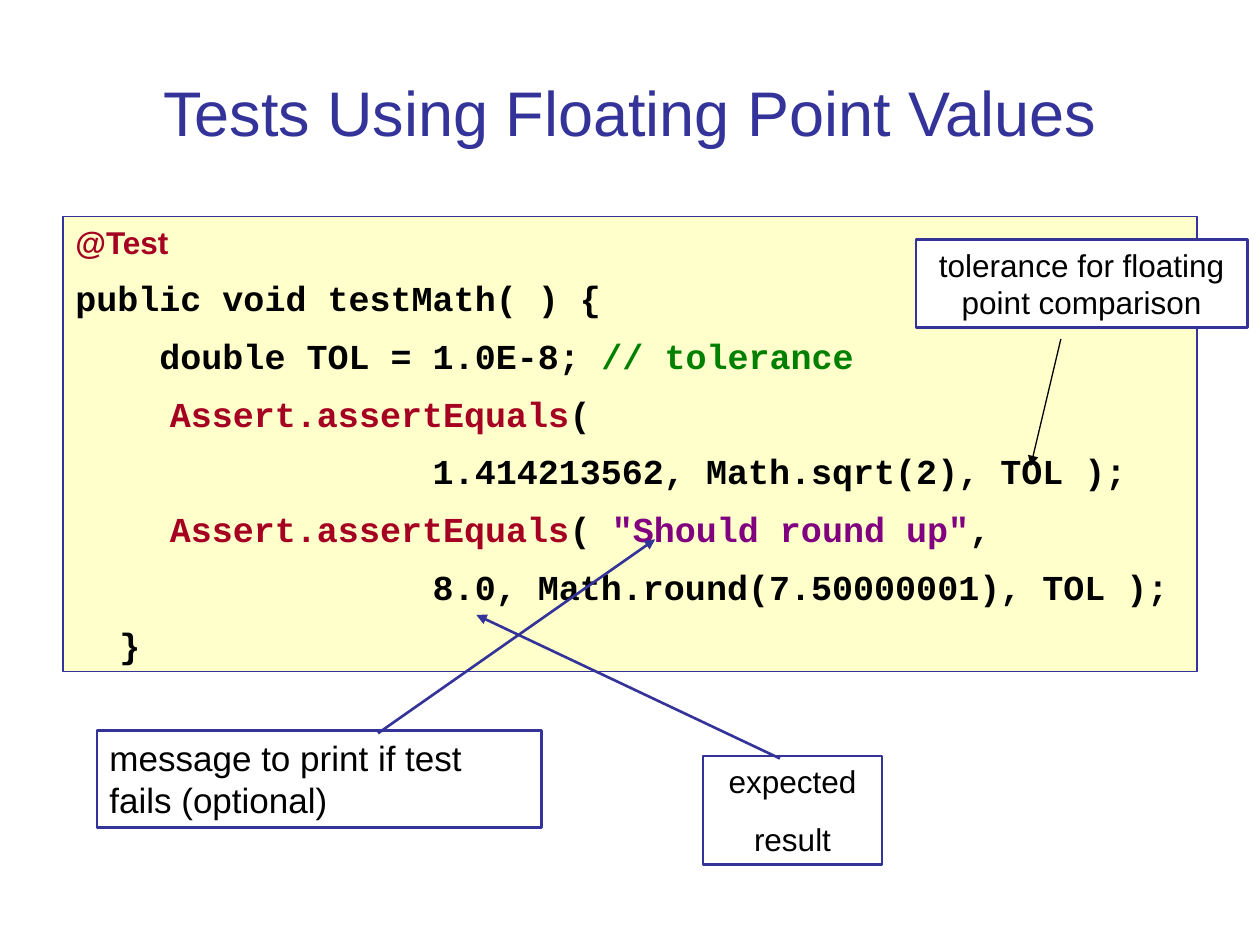
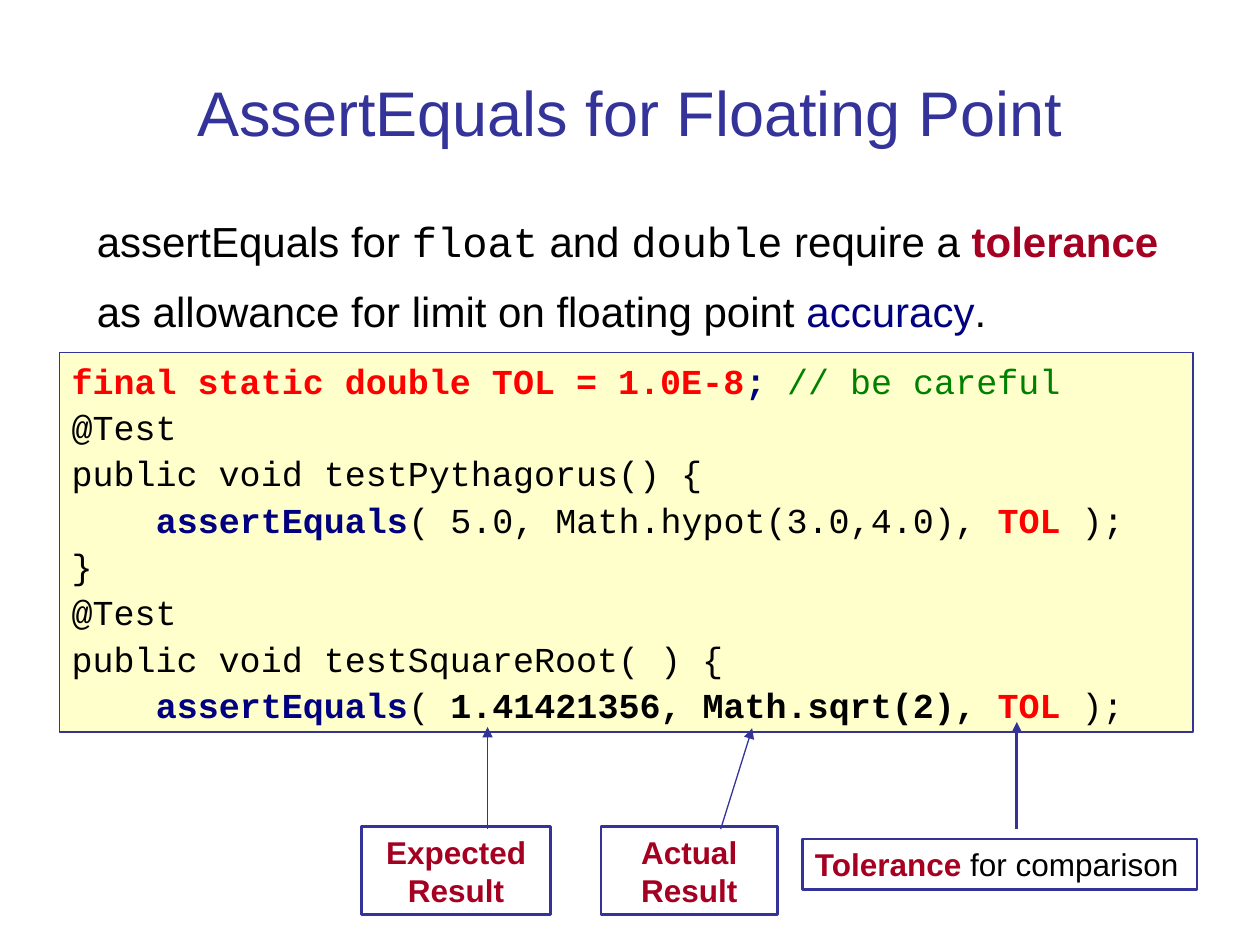
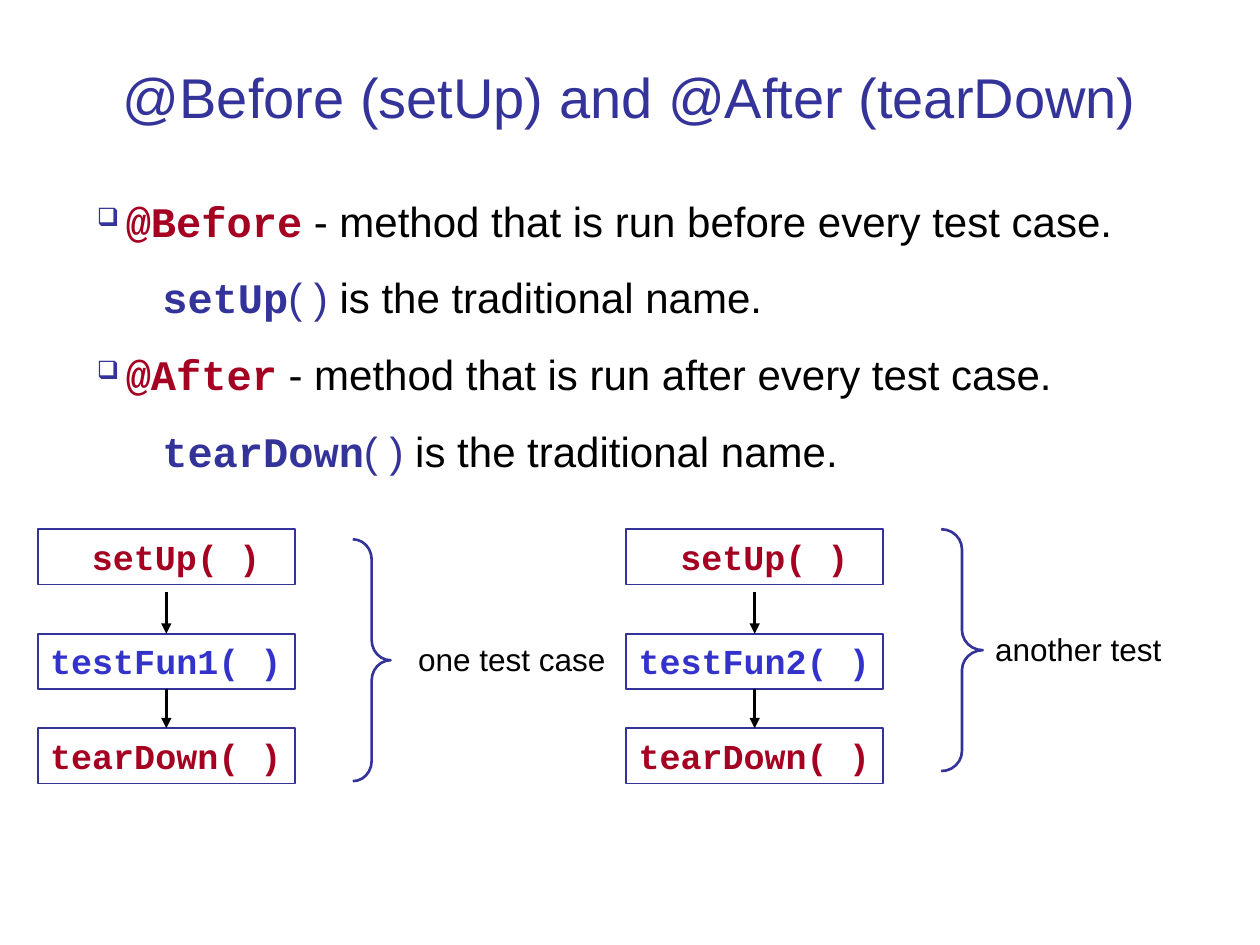
from dataclasses import dataclass

from lxml.etree import SubElement
from pptx import Presentation
from pptx.dml.color import RGBColor
from pptx.enum.shapes import MSO_CONNECTOR, MSO_SHAPE
from pptx.enum.text import MSO_ANCHOR, PP_ALIGN
from pptx.oxml.ns import qn
from pptx.util import Inches, Pt


@dataclass(frozen=True)
class Theme:
    blue: str = "333399"
    royal: str = "3333CC"
    navy: str = "000080"
    red: str = "A50021"
    alert: str = "FF0000"
    green: str = "008000"
    purple: str = "800080"
    black: str = "000000"
    white: str = "FFFFFF"
    cream: str = "FFFFCC"
    sans: str = "Arial"
    mono: str = "Courier New"
    title: int = 36
    body: int = 24
    code: int = 20
    label: int = 18


T = Theme()
CENTER = PP_ALIGN.CENTER


def add_box(slide, at, paras, size=T.label, face=T.sans, bold=False, fill=None,
            edge=None, width=1.5, anchor=MSO_ANCHOR.TOP, **layout):
    """Add a text box; each run is (text, colour, format overrides)."""
    place = [Inches(v) for v in at]
    if edge:
        box = slide.shapes.add_shape(MSO_SHAPE.RECTANGLE, *place)
        box.shadow.inherit = False
        box.line.color.rgb = RGBColor.from_string(edge)
        box.line.width = Pt(width)
        box.fill.background()
    else:
        box = slide.shapes.add_textbox(*place)
    if fill:
        box.fill.solid()
        box.fill.fore_color.rgb = RGBColor.from_string(fill)
    frame = box.text_frame
    frame.word_wrap = True
    frame.vertical_anchor = anchor
    for i, runs in enumerate(paras):
        para = frame.add_paragraph() if i else frame.paragraphs[0]
        look = {"alignment": PP_ALIGN.LEFT, **layout}
        if not i:
            look.pop("space_before", None)
        for key, value in look.items():
            setattr(para, key, value)
        for text, color, *extra in runs:
            if text == "\n":
                para.add_line_break()
                continue
            run = para.add_run()
            run.text = text
            run.font.color.rgb = RGBColor.from_string(color)
            look = {"name": face, "size": Pt(size), "bold": bold}
            for more in extra:
                look.update(more)
            for key, value in look.items():
                setattr(run.font, key, value)
    return box


def add_arrow(slide, start, end, color=T.blue, width=1.5):
    line = slide.shapes.add_connector(
        MSO_CONNECTOR.STRAIGHT, *[Inches(v) for v in (*start, *end)])
    line.line.color.rgb = RGBColor.from_string(color)
    line.line.width = Pt(width)
    SubElement(line.line._get_or_add_ln(), qn("a:tailEnd"), type="triangle")
    SubElement(line._element.spPr, qn("a:effectLst"))
    return line


deck = Presentation()
deck.slide_width, deck.slide_height = Inches(10), Inches(7.5)
slides = []
for text, size, height in (
    ("Tests Using Floating Point Values", T.title, 0.95),
    ("AssertEquals for Floating Point", T.title, 0.95),
    ("@Before (setUp) and @After (tearDown)", 32, 0.8),
):
    slide = deck.slides.add_slide(deck.slide_layouts[6])
    add_box(slide, (0.67, 0.28, 8.66, height), [[(text, T.blue)]], size=size,
            anchor=MSO_ANCHOR.BOTTOM, alignment=CENTER)
    slides.append(slide)
floats, equals, hooks = slides

BOLD = {"bold": True}
MONO = {"name": T.mono}
STRONG = {**MONO, **BOLD}

# Tests using floating point values
check = ("Assert.assertEquals", T.red)
code = add_box(floats, (0.5, 1.72, 9, 3.61), [
    [("@Test", T.red, {"name": T.sans, "size": Pt(T.label)})],
    [("public void testMath( ) {", T.black)],
    [("    double TOL = 1.0E-8; ", T.black), ("// tolerance", T.green)],
    [("\t\t", T.black), check, ("(", T.black)],
    [("                 1.414213562, Math.sqrt(2), TOL );", T.black)],
    [("\t\t", T.black), check, ("( ", T.black),
     ('"Should round up"', T.purple), (",", T.black)],
    [("                 8.0, Math.round(7.50000001), TOL );", T.black)],
    [("\t}", T.black)],
], size=T.code, face=T.mono, bold=True, fill=T.cream, edge=T.blue, width=0.75,
    space_before=Pt(9))
for para in code.text_frame.paragraphs:
    tabs = SubElement(para._p.get_or_add_pPr(), qn("a:tabLst"))
    for stop in (0.35, 0.75):
        SubElement(tabs, qn("a:tab"), pos=str(Inches(stop)), algn="l")

add_box(floats, (0.77, 5.8, 3.53, 0.77),
        [[("message to print if test fails (optional)", T.black)]],
        size=T.code, edge=T.blue)
add_box(floats, (5.58, 6, 1.42, 0.86),
        [[("expected", T.black)], [("result", T.black)]],
        edge=T.blue, alignment=CENTER, space_before=Pt(11.2))
add_box(floats, (7.27, 1.9, 2.63, 0.7),
        [[("tolerance for floating point comparison", T.black)]],
        fill=T.white, edge=T.blue, alignment=CENTER)
add_arrow(floats, (3, 5.82), (5.2, 4.28))
add_arrow(floats, (6.19, 6.02), (3.78, 4.88))
add_arrow(floats, (8.42, 2.69), (8.18, 3.7), T.black, 0.75)

# AssertEquals for floating point
add_box(equals, (0.67, 1.5, 8.66, 1.3), [[
    ("assertEquals for ", T.black), ("float", T.black, MONO),
    (" and ", T.black), ("double", T.black, MONO),
    (" require a ", T.black), ("tolerance", T.red, BOLD),
    (" as allowance for limit on floating point ", T.black),
    ("accuracy", T.navy), (".", T.black),
]], size=T.body, line_spacing=1.4)

check = ("assertEquals", T.navy, BOLD)
limit = [("TOL", T.alert, BOLD), (" );", T.black)]
add_box(equals, (0.47, 2.8, 9, 3.01), [
    [("final static double TOL = 1.0E-8", T.alert, BOLD), (";", T.navy, BOLD),
     (" // be careful", T.green)],
    [("@Test", T.black)],
    [("public void testPythagorus() {", T.black)],
    [("    ", T.black), check, ("( 5.0, Math.hypot(3.0,4.0), ", T.black), *limit],
    [("}", T.black)],
    [("@Test", T.black)],
    [("public void testSquareRoot( ) {", T.black)],
    [("    ", T.black), check, ("( ", T.black),
     ("1.41421356, Math.sqrt(2), ", T.black, BOLD), *limit],
], size=T.code, face=T.mono, fill=T.cream, edge=T.blue, width=0.75,
    space_before=Pt(2.5))

add_box(equals, (6.37, 6.66, 3.13, 0.4),
        [[("Tolerance", T.red, BOLD), (" for comparison", T.black)]], edge=T.blue)
for word, left, width in (("Expected", 2.87, 1.5), ("Actual", 4.77, 1.4)):
    add_box(equals, (left, 6.56, width, 0.7),
            [[(word, T.red), ("\n", T.red), ("Result", T.red)]], bold=True,
            edge=T.blue, anchor=MSO_ANCHOR.MIDDLE, alignment=CENTER)
add_arrow(equals, (8.07, 6.58), (8.07, 5.73))
add_arrow(equals, (5.72, 6.58), (5.97, 5.78), width=0.75)
add_arrow(equals, (3.87, 6.58), (3.87, 5.77), width=0.75)

# Before and after methods
lines = []
for mark, when, name in (("@Before", "before", "setUp"),
                         ("@After", "after", "tearDown")):
    lines += [
        [(mark, T.red, STRONG),
         (f" - method that is run {when} every test case.", T.black)],
        [(name, T.blue, STRONG), ("( )", T.blue),
         (" is the traditional name.", T.black)],
    ]
notes = add_box(hooks, (0.67, 1.5, 8.66, 2.6), lines, size=T.body,
                space_before=Pt(15))
for i, para in enumerate(notes.text_frame.paragraphs):
    props = para._p.get_or_add_pPr()
    props.set("marL", str(Inches(0.75 if i % 2 else 0.23)))
    props.set("indent", str(Inches(-0.23)))
    if i % 2 == 0:
        tint = SubElement(props, qn("a:buClr"))
        SubElement(tint, qn("a:srgbClr"), val=T.blue)
        SubElement(props, qn("a:buSzPct"), val="60000")
        SubElement(props, qn("a:buChar"), char="❑")

for left, test, label, top, wide, start in (
    (0.3, "testFun1( )", "one test case", 4.28, 0.3, 3.22),
    (4.97, "testFun2( )", "another test", 4.2, 0.33, 7.8),
):
    steps = []
    for text, color, y in (("setUp( )", T.red, 4.2), (test, T.royal, 5.03),
                           ("tearDown( )", T.red, 5.78)):
        step = add_box(hooks, (left, y, 2.04, 0.44), [[(text, color)]],
                       size=T.code, face=T.mono, bold=True, edge=T.blue, width=1)
        step.text_frame.margin_right = Inches(0.05)
        steps.append(step)
    steps[0].text_frame.margin_left = Inches(0.43)

    mid = left + 1.02
    add_arrow(hooks, (mid, 4.7), (mid, 5.03), T.black).end_connect(steps[1], 0)
    link = add_arrow(hooks, (mid, 5.47), (mid, 5.78), T.black)
    link.begin_connect(steps[1], 2)
    link.end_connect(steps[2], 0)

    brace = hooks.shapes.add_shape(
        MSO_SHAPE.RIGHT_BRACE,
        *[Inches(v) for v in (left + 2.5, top, wide, 1.92)])
    brace.shadow.inherit = False
    brace.fill.background()
    brace.line.color.rgb = RGBColor.from_string(T.blue)
    brace.line.width = Pt(1.5)
    brace.adjustments[0] = 0.16 / wide
    add_box(hooks, (start, top + 0.75, 1.92, 0.4), [[(label, T.black)]])

deck.save("out.pptx")
